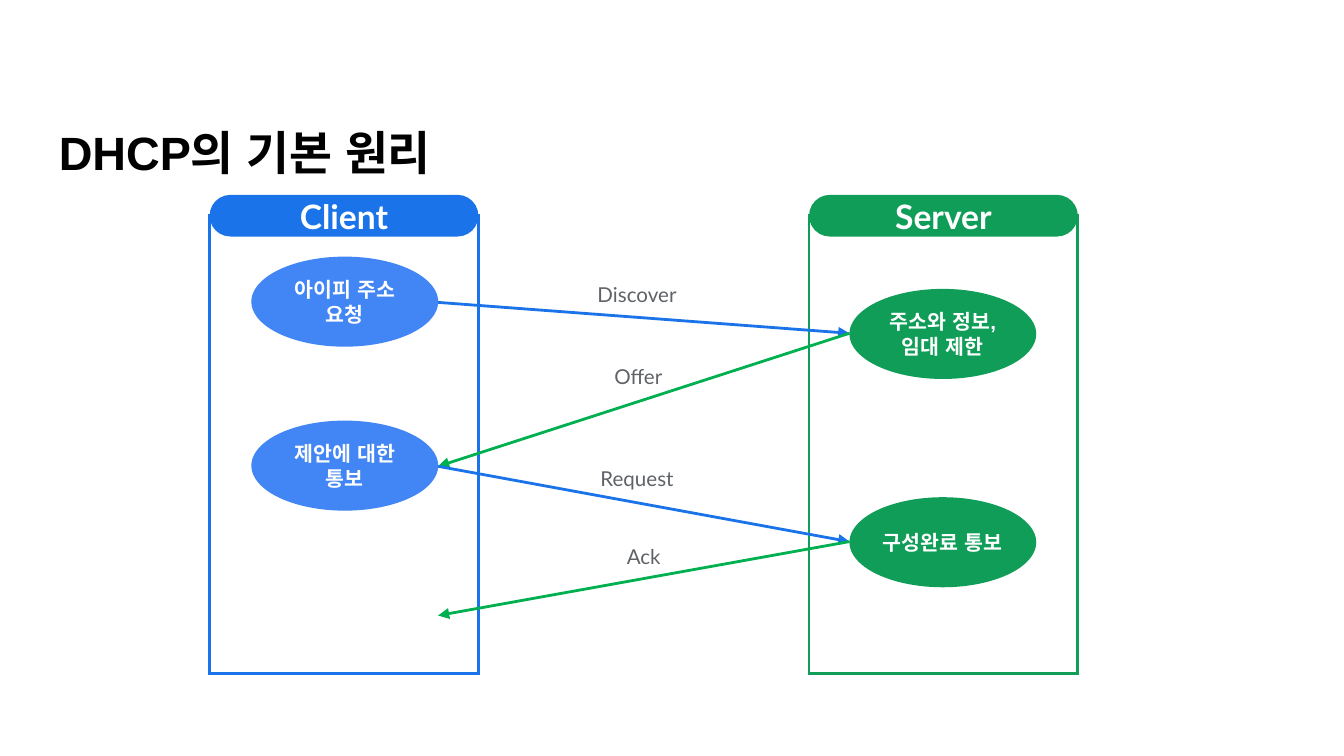
import itertools

import pptx
import pptx.util
from lxml import etree
from pptx.dml.color import RGBColor
from pptx.enum.shapes import MSO_CONNECTOR, MSO_SHAPE
from pptx.enum.text import MSO_ANCHOR, PP_ALIGN
from pptx.oxml.ns import qn

Inches, Pt = pptx.util.Inches, pptx.util.Pt

BLACK = RGBColor(0x00, 0x00, 0x00)
WHITE = RGBColor(0xFF, 0xFF, 0xFF)
GRAY = RGBColor(0x5F, 0x63, 0x68)
BLUE = RGBColor(0x1A, 0x73, 0xE8)
LIGHT_BLUE = RGBColor(0x42, 0x85, 0xF4)
GREEN = RGBColor(0x0F, 0x9D, 0x58)
ARROW_GREEN = RGBColor(0x00, 0xB0, 0x50)

TITLE = "DHCP의 기본 원리"
HOSTS = [
    {"name": "Client", "left": 1.56, "color": BLUE, "step_left": 1.87, "step_color": LIGHT_BLUE,
     "steps": [(1.91, ["아이피 주소 요청"]), (3.13, ["제안에 대한 통보"])]},
    {"name": "Server", "left": 6.02, "color": GREEN, "step_left": 6.32, "step_color": GREEN,
     "steps": [(2.15, ["주소와 정보,", "임대 제한"]), (3.7, ["구성완료 통보"])]},
]
MESSAGES = [("Discover", 4.34, 2.1), ("Offer", 4.35, 2.71),
            ("Request", 4.34, 3.47), ("Ack", 4.39, 4.05)]
ARROW_STOPS = [(3.26, 2.25), (6.32, 2.48), (3.26, 3.47), (6.32, 4.03), (3.26, 4.58)]
ARROW_COLORS = [BLUE, ARROW_GREEN]

HOST_W, STEP_W, STEP_H = 2, 1.39, 0.67
TITLE_FONT = {"name": "Arial", "size": Pt(25), "bold": True}
HOST_FONT = {"name": "Lato", "size": Pt(18), "bold": True}
STEP_FONT = {"name": "Arial", "size": Pt(11), "bold": True}
MESSAGE_FONT = {"name": "Lato", "size": Pt(11), "bold": False}


def write(sp, lines, font, color, align=PP_ALIGN.CENTER, anchor=MSO_ANCHOR.MIDDLE, inset=0):
    tf = sp.text_frame
    frame = {"word_wrap": True, "vertical_anchor": anchor}
    frame.update({f"margin_{side}": Inches(inset) for side in ("left", "top", "right", "bottom")})
    for key, value in frame.items():
        setattr(tf, key, value)
    for i, line in enumerate(lines):
        p = tf.add_paragraph() if i else tf.paragraphs[0]
        p.alignment = align
        r = p.add_run()
        r.text = line
        for key, value in font.items():
            setattr(r.font, key, value)
        r.font.color.rgb = color
        etree.SubElement(r._r.get_or_add_rPr(), qn("a:ea"), typeface=font["name"])


def add_shape(s, kind, box, fill, line=None, radius=None):
    sp = s.shapes.add_shape(kind, *map(Inches, box))
    sp.shadow.inherit = False
    sp.fill.solid()
    sp.fill.fore_color.rgb = fill
    if line is None:
        sp.line.fill.background()
    else:
        sp.line.color.rgb = line
        sp.line.width = Pt(1.5)
        etree.SubElement(sp.line._get_or_add_ln(), qn("a:miter"), lim="800000")
    if radius is not None:
        sp.adjustments[0] = radius
    return sp


def add_text(s, box, *args, **kwargs):
    write(s.shapes.add_textbox(*map(Inches, box)), *args, **kwargs)


def add_arrow(s, start, end, color):
    cx = s.shapes.add_connector(MSO_CONNECTOR.STRAIGHT, *map(Inches, start + end))
    cx.line.color.rgb = color
    cx.line.width = Pt(1.5)
    etree.SubElement(cx.line._get_or_add_ln(), qn("a:tailEnd"), type="triangle")
    etree.SubElement(cx._element.spPr, qn("a:effectLst"))


def main():
    prs = pptx.Presentation()
    prs.slide_width = Inches(10)
    prs.slide_height = prs.slide_width * 9 // 16
    s = prs.slides.add_slide(prs.slide_layouts[6])

    add_text(s, (0.34, 0.61, 3.57, 0.83), [TITLE], TITLE_FONT, BLACK,
             align=PP_ALIGN.LEFT, anchor=MSO_ANCHOR.BOTTOM, inset=0.1)

    for host in HOSTS:
        left, color = host["left"], host["color"]
        add_shape(s, MSO_SHAPE.ROUNDED_RECTANGLE, (left, 1.6, HOST_W, 3.41), WHITE, color, 0)
        header = add_shape(s, MSO_SHAPE.ROUNDED_RECTANGLE, (left, 1.45, HOST_W, 0.31),
                           color, radius=0.5)
        write(header, [host["name"]], HOST_FONT, WHITE)
        for top, lines in host["steps"]:
            step = add_shape(s, MSO_SHAPE.OVAL, (host["step_left"], top, STEP_W, STEP_H),
                             host["step_color"])
            write(step, lines, STEP_FONT, WHITE)

    legs = zip(ARROW_STOPS, ARROW_STOPS[1:])
    for (start, end), color in zip(legs, itertools.cycle(ARROW_COLORS)):
        add_arrow(s, start, end, color)

    for name, left, top in MESSAGES:
        add_text(s, (left, top, 0.8, 0.2), [name], MESSAGE_FONT, GRAY, anchor=MSO_ANCHOR.TOP)

    prs.save("out.pptx")


if __name__ == "__main__":
    main()
